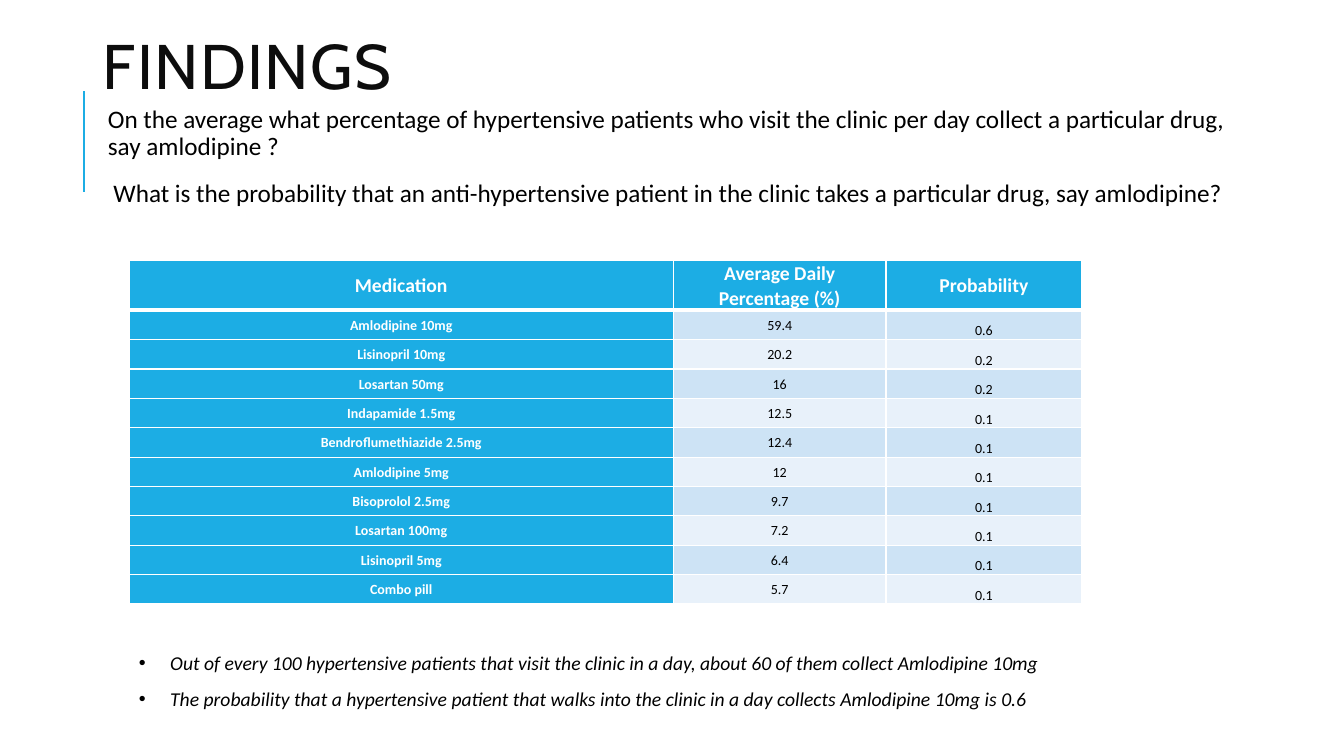
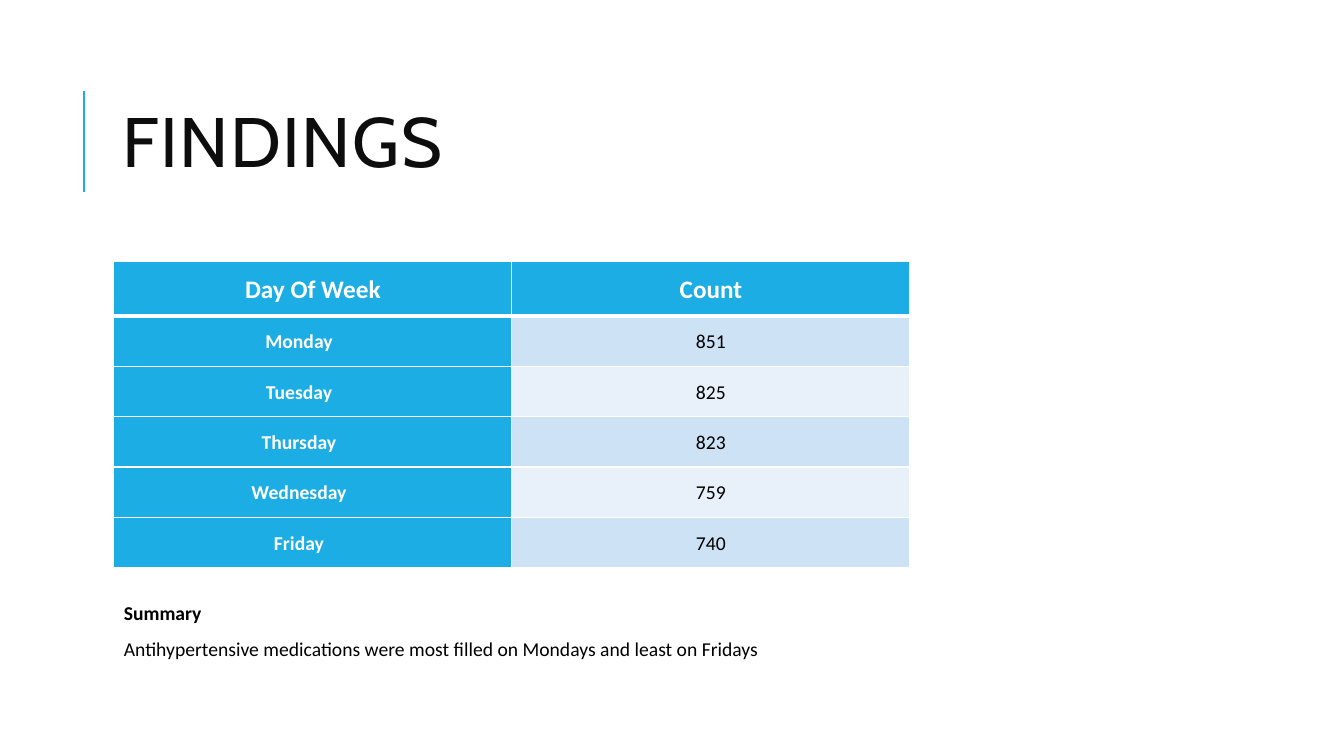
from pptx import Presentation
from pptx import util as u
from pptx.dml.color import RGBColor
from pptx.enum import shapes, text
from pptx.oxml import parse_xml
from pptx.oxml.ns import nsdecls

Cm, Pt = u.Cm, u.Pt
BLUE, WHITE, BLACK, INK = "1CADE4", "FFFFFF", "000000", "0D0D0D"
BANDS = ("CDE3F5", "E8F1FA")
HEAD, BODY = "Cabin", "Calibri"
MID, LOW = text.MSO_ANCHOR.MIDDLE, text.MSO_ANCHOR.BOTTOM


def color(code):
    return RGBColor.from_string(code)


def node(xml):
    """Build a drawing element from a template with an open namespace slot."""
    return parse_xml(xml.replace(" NS", " " + nsdecls("a"), 1))


class Deck:
    """The shared style and the slide being filled."""

    def __init__(self):
        self.prs = Presentation()
        self.prs.slide_width, self.prs.slide_height = Cm(33.87), Cm(19.05)
        self.slide = None

    def start(self, name, box, size):
        """Add a slide with the accent line and a title."""
        self.slide = self.prs.slides.add_slide(self.prs.slide_layouts[5])
        self.rule()
        title = self.slide.shapes.title
        title.left, title.top, title.width, title.height = map(Cm, box)
        frame = title.text_frame
        frame.text = name
        frame.auto_size = text.MSO_AUTO_SIZE.NONE
        frame.vertical_anchor = MID
        par = frame.paragraphs[0]
        self.style(par, size, INK, face=HEAD, gap=0.8)
        par.runs[0].font._element.set("spc", "100")

    def rule(self):
        line = self.slide.shapes.add_connector(
            shapes.MSO_CONNECTOR.STRAIGHT, Cm(2.11), Cm(4.83), Cm(2.11), Cm(2.29))
        line.line.color.rgb = color(BLUE)
        line.line.width = Pt(1.5)
        line._element.spPr.append(node("<a:effectLst NS/>"))

    def style(self, par, size, ink=BLACK, bold=False, italic=False,
              face=BODY, gap=1.07, align=text.PP_ALIGN.LEFT):
        par.alignment = align
        par.line_spacing = gap
        for run in par.runs:
            font = run.font
            font.name, font.size = face, Pt(size)
            font.bold, font.italic = bold, italic
            font.color.rgb = color(ink)

    def text(self, box, lines, size, before=0, after=8, inset=0.25,
             bullet=False, **look):
        """Add a text box with one paragraph per line; return the paragraphs."""
        frame = self.slide.shapes.add_textbox(*map(Cm, box)).text_frame
        frame.word_wrap = True
        frame.margin_left = Cm(inset)
        frame.text = "\n".join(lines)
        for par in frame.paragraphs:
            self.style(par, size, **look)
            par.space_before, par.space_after = Pt(before), Pt(after)
            if bullet:
                props = par._p.get_or_add_pPr()
                props.set("marL", str(Cm(0.79)))
                props.set("indent", str(Cm(-0.79)))
                props.append(node('<a:buFont NS typeface="Arial"/>'))
                props.append(node('<a:buChar NS char="•"/>'))
        return frame.paragraphs

    def table(self, spot, cols, tops, rows, sizes, high, last=MID, shift=0):
        """Add a table: blue head and first column, banded values."""
        data = [tops] + rows
        tall = [high[0]] + [high[1]] * len(rows)
        grid = self.slide.shapes.add_table(
            len(data), len(cols), *map(Cm, (*spot, sum(cols), sum(tall)))).table
        grid.first_row = grid.horz_banding = False
        for col, wide in zip(grid.columns, cols):
            col.width = Cm(wide)
        for r, (row, values) in enumerate(zip(grid.rows, data)):
            row.height = Cm(tall[r])
            for c, value in enumerate(values):
                cell = grid.cell(r, c)
                key = r == 0 or c == 0
                self.edges(cell, r)
                cell.fill.solid()
                cell.fill.fore_color.rgb = color(BLUE if key else BANDS[(r - 1) % 2])
                cell.margin_left = cell.margin_right = Cm(0.18)
                cell.margin_top = cell.margin_bottom = 0
                if r and c == 0:
                    cell.margin_right = Cm(0.18 + shift)
                cell.vertical_anchor = last if r and c == len(cols) - 1 else MID
                cell.text_frame.text = value
                self.style(cell.text_frame.paragraphs[0], sizes[min(r, 1)],
                           WHITE if key else BLACK, bold=key,
                           align=text.PP_ALIGN.CENTER)

    def edges(self, cell, r):
        """White borders, with a thick one under the head row."""
        thick = {0: "B", 1: "T"}.get(r)
        for side in "LRTB":
            wide = Pt(3 if side == thick else 1)
            cell._tc.get_or_add_tcPr().append(node(
                f'<a:ln{side} NS w="{wide}"><a:solidFill>'
                f'<a:srgbClr val="{WHITE}"/></a:solidFill></a:ln{side}>'))


def drugs(deck):
    deck.start("FINDINGS", (2.34, 1.02, 29.21, 1.55), 45)

    # Questions
    asks = deck.text((2.34, 2.57, 29.21, 3.2), [
        "On the average what percentage of hypertensive patients who visit "
        "the clinic per day collect a particular drug, say amlodipine ?",
        "What is the probability that an anti-hypertensive patient in the "
        "clinic takes a particular drug, say amlodipine?",
    ], 18, before=12, after=2, inset=0.38, gap=0.9)
    asks[0].space_before = 0
    asks[1]._p.get_or_add_pPr().set("indent", str(Cm(0.14)))

    # Medication table
    deck.table((3.25, 6.55), (13.72, 5.36, 4.93),
               ["Medication", "Average Daily Percentage (%)", "Probability"], [
        ["Amlodipine 10mg", "59.4", "0.6"],
        ["Lisinopril 10mg", "20.2", "0.2"],
        ["Losartan 50mg", "16", "0.2"],
        ["Indapamide 1.5mg", "12.5", "0.1"],
        ["Bendroflumethiazide 2.5mg", "12.4", "0.1"],
        ["Amlodipine 5mg", "12", "0.1"],
        ["Bisoprolol 2.5mg", "9.7", "0.1"],
        ["Losartan 100mg", "7.2", "0.1"],
        ["Lisinopril 5mg", "6.4", "0.1"],
        ["Combo pill", "5.7", "0.1"],
    ], (14, 10), (1.14, 0.74), last=LOW)

    # Conclusions
    deck.text((3.25, 16.23, 28.37, 1.8), [
        "Out of every 100 hypertensive patients that visit the clinic in a "
        "day, about 60 of them collect Amlodipine 10mg",
        "The probability that a hypertensive patient that walks into the "
        "clinic in a day collects Amlodipine 10mg is 0.6",
    ], 14, bullet=True, italic=True)


def days(deck):
    deck.start("FINDINGS", (2.84, 1.63, 27, 4.17), 50)

    # Weekday table
    deck.table((2.87, 6.58), (10.03, 10.03), ["Day Of Week", "Count"], [
        ["Monday", "851"],
        ["Tuesday", "825"],
        ["Thursday", "823"],
        ["Wednesday", "759"],
        ["Friday", "740"],
    ], (18, 14), (1.38, 1.27), shift=0.7)

    # Summary
    notes = deck.text((2.87, 14.97, 23.67, 1.8), [
        "Summary",
        "Antihypertensive medications were most filled on Mondays and least "
        "on Fridays",
    ], 14)
    notes[0].runs[0].font.bold = True


def main():
    deck = Deck()
    drugs(deck)
    days(deck)
    deck.prs.save("out.pptx")


if __name__ == "__main__":
    main()
